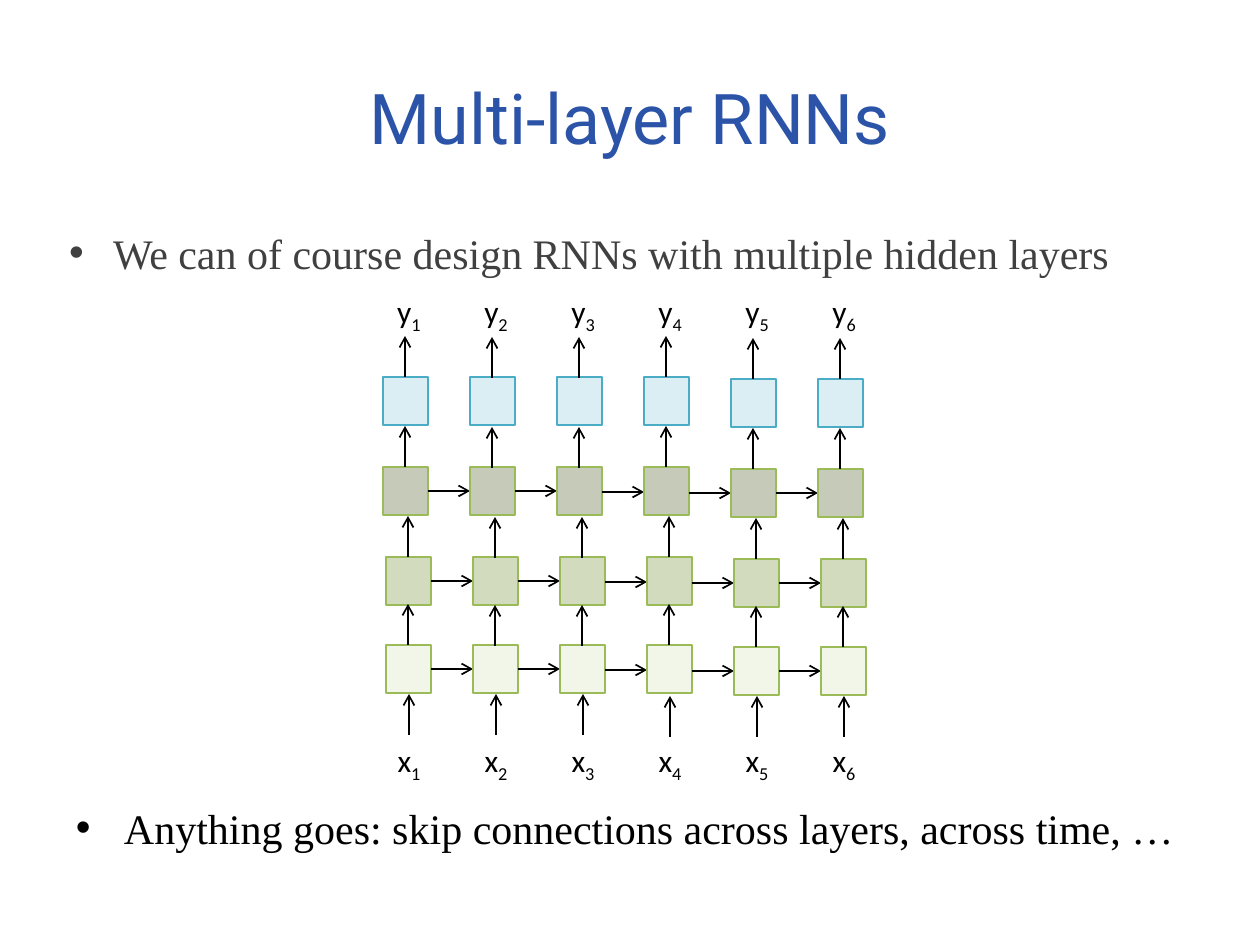
from lxml.etree import SubElement
from pptx import Presentation
from pptx.dml.color import RGBColor
from pptx.enum.shapes import MSO_CONNECTOR, MSO_SHAPE
from pptx.enum.text import MSO_ANCHOR, MSO_AUTO_SIZE, PP_ALIGN
from pptx.oxml.ns import qn
from pptx.util import Emu, Inches, Pt

COLUMNS = 6
STEP = 87
BOX_W, BOX_H = 45, 48
ARROW = 41
# Small downward shifts per column
BOX_DROP = (0, 0, 0, 0, 2, 2)
UP_DROP = (0, 1, 1, 0, 2, 2)
SIDE_DROP = (0, 0, 1, 2, 2)
INPUT_DROP = (0, 0, 0, 2, 2, 2)
# left, top, fill, line, linked across time
LAYERS = (
    (383, 377, "93CDDD", "4BACC6", False),
    (383, 467, "4F6228", "9BBB59", True),
    (386, 557, "77933C", "9BBB59", True),
    (386, 645, "D7E4BD", "9BBB59", True),
)
LABEL_CENTER = 409


def px(n):
    return Emu(round(n * 914400 / 126))


def color(hex_string):
    return RGBColor.from_string(hex_string)


class Deck:
    title_font, body_font, label_font = "Roboto", "Times New Roman", "Calibri"
    title_color, body_color, ink = "2B53A8", "404040", "000000"

    def __init__(self):
        self.prs = Presentation()
        self.prs.slide_width, self.prs.slide_height = Inches(10), Inches(7.5)
        self.slide = self.prs.slides.add_slide(self.prs.slide_layouts[1])

    def place(self, sp, x, y, w, h):
        sp.left, sp.top, sp.width, sp.height = px(x), px(y), px(w), px(h)

    def run(self, p, text, size, font, hex_string):
        r = p.add_run()
        r.text = text
        r.font.size, r.font.name = Pt(size), font
        r.font.color.rgb = color(hex_string)
        return r

    def inset(self, tf, n):
        tf.margin_left = tf.margin_right = px(n)
        tf.margin_top = tf.margin_bottom = px(6)

    def title(self, text, x, y, w, h):
        sp = self.slide.shapes.title
        self.place(sp, x, y, w, h)
        tf = sp.text_frame
        self.inset(tf, 6)
        tf.vertical_anchor = MSO_ANCHOR.MIDDLE
        p = tf.paragraphs[0]
        p.alignment = PP_ALIGN.CENTER
        self.run(p, text, 40, self.title_font, self.title_color)

    def bullet(self, sp, text, x, y, w, h, inset, indent, hex_string):
        self.place(sp, x, y, w, h)
        tf = sp.text_frame
        tf.word_wrap, tf.auto_size = True, MSO_AUTO_SIZE.NONE
        self.inset(tf, inset)
        p = tf.paragraphs[0]
        pPr = p._p.get_or_add_pPr()
        pPr.set("marL", str(px(indent)))
        pPr.set("indent", str(-px(indent)))
        SubElement(pPr, qn("a:buFont"), typeface="Arial")
        SubElement(pPr, qn("a:buChar"), char="•")
        p.space_before = Pt(0)
        self.run(p, text, 24, self.body_font, hex_string)

    def body(self, *args):
        self.bullet(self.slide.placeholders[1], *args)

    def note(self, *args):
        self.bullet(self.slide.shapes.add_textbox(0, 0, 0, 0), *args)

    def label(self, letter, index, x, y, w, h):
        sp = self.slide.shapes.add_textbox(px(x), px(y), px(w), px(h))
        tf = sp.text_frame
        tf.word_wrap = False
        p = tf.paragraphs[0]
        p.alignment = PP_ALIGN.CENTER
        self.run(p, letter, 18, self.label_font, self.ink)
        r = self.run(p, str(index), 18, self.label_font, self.ink)
        r.font._element.set("baseline", "-25000")

    def cell(self, x, y, fill, line):
        sp = self.slide.shapes.add_shape(
            MSO_SHAPE.RECTANGLE, px(x), px(y), px(BOX_W), px(BOX_H))
        sp.shadow.inherit = False
        sp.fill.solid()
        sp.fill.fore_color.rgb = color(fill)
        rgb = sp._element.spPr.find(qn("a:solidFill")).find(qn("a:srgbClr"))
        SubElement(rgb, qn("a:alpha"), val="33000")
        sp.line.color.rgb, sp.line.width = color(line), Pt(0.75)

    def arrow(self, x1, y1, x2, y2):
        cxn = self.slide.shapes.add_connector(
            MSO_CONNECTOR.STRAIGHT, px(x1), px(y1), px(x2), px(y2))
        cxn.line.color.rgb, cxn.line.width = color(self.ink), Pt(1)
        SubElement(cxn.line._get_or_add_ln(), qn("a:tailEnd"), type="arrow")
        SubElement(cxn._element.spPr, qn("a:effectLst"))

    def up_arrow(self, x, y):
        self.arrow(x, y, x, y - ARROW)


def draw_layer(deck, left, top, fill, line, linked):
    for i in range(COLUMNS):
        x = left + STEP * i
        deck.cell(x, top + BOX_DROP[i], fill, line)
        deck.up_arrow(x + BOX_W // 2, top + UP_DROP[i])
        if linked and i < COLUMNS - 1:
            y = top + BOX_H // 2 + SIDE_DROP[i]
            deck.arrow(x + BOX_W, y, x + STEP, y)


def main():
    deck = Deck()
    deck.title("Multi-layer RNNs", 63, 13, 1134, 208)
    deck.body("We can of course design RNNs with multiple hidden layers",
              63, 221, 1134, 79, 6, 44, deck.body_color)
    for layer in LAYERS:
        draw_layer(deck, *layer)
    for i in range(COLUMNS):
        center = LABEL_CENTER + STEP * i
        deck.up_arrow(center, 735 + INPUT_DROP[i])
        deck.label("y", i + 1, center - 28, 286, 56, 50)
        deck.label("x", i + 1, center - 28, 735, 56, 50)
    deck.note("Anything goes: skip connections across layers, across time, …",
              63, 796, 1197, 79, 13, 48, deck.ink)
    deck.prs.save("out.pptx")


if __name__ == "__main__":
    main()
